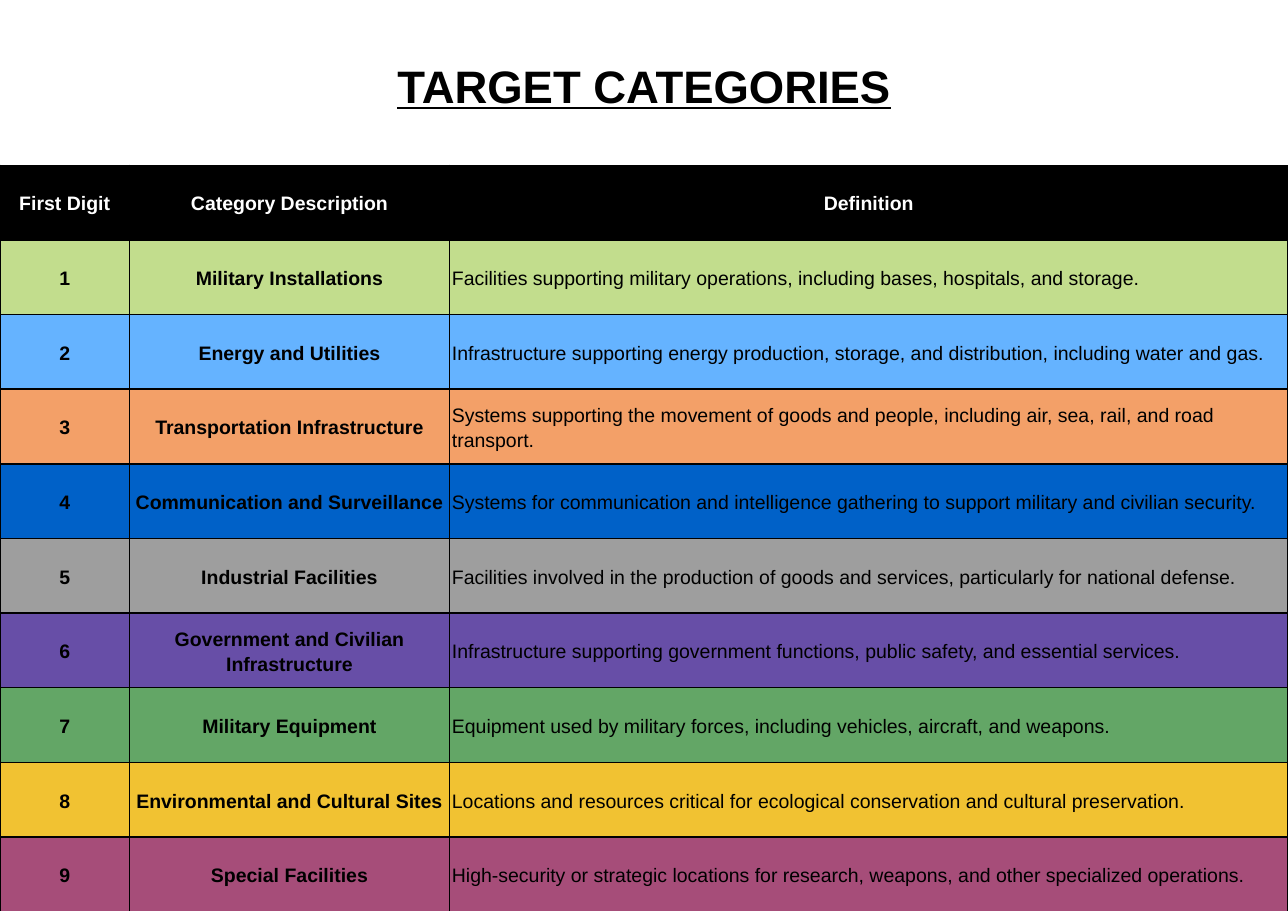
import pptx
import pptx.util
import pptx.dml.color
import pptx.enum.text
import lxml.etree

Inches, Pt = pptx.util.Inches, pptx.util.Pt
ALIGN = pptx.enum.text.PP_ALIGN
MIDDLE = pptx.enum.text.MSO_ANCHOR.MIDDLE
WIDE, HIGH = 16.53, 11.69
WIDTHS = [1.66, 4.11, 10.76]
BLACK, WHITE = "000000", "FFFFFF"
HEADS = ["First Digit", "Category Description", "Definition"]
GROUPS = [
    ("C2DD8D", "Military Installations",
     "Facilities supporting military operations, including bases, hospitals, and storage."),
    ("65B3FF", "Energy and Utilities",
     "Infrastructure supporting energy production, storage, and distribution, including water and gas."),
    ("F3A068", "Transportation Infrastructure",
     "Systems supporting the movement of goods and people, including air, sea, rail, and road transport."),
    ("0061C8", "Communication and Surveillance",
     "Systems for communication and intelligence gathering to support military and civilian security."),
    ("9E9E9E", "Industrial Facilities",
     "Facilities involved in the production of goods and services, particularly for national defense."),
    ("674EA7", "Government and Civilian Infrastructure",
     "Infrastructure supporting government functions, public safety, and essential services."),
    ("63A666", "Military Equipment",
     "Equipment used by military forces, including vehicles, aircraft, and weapons."),
    ("F1C232", "Environmental and Cultural Sites",
     "Locations and resources critical for ecological conservation and cultural preservation."),
    ("A64D79", "Special Facilities",
     "High-security or strategic locations for research, weapons, and other specialized operations."),
]


def color(text):
    """Turn a hex string into a colour."""
    return pptx.dml.color.RGBColor.from_string(text)


def style(para, size, ink, bold, align):
    """Set the font and alignment of a paragraph."""
    para.alignment = align
    font = para.font
    font.name, font.size, font.bold = "Arial", Pt(size), bold
    font.color.rgb = color(ink)


def border(cell, ink, width):
    """Draw a solid line on all four sides of a cell."""
    props = cell._tc.get_or_add_tcPr()
    space = "http://schemas.openxmlformats.org/drawingml/2006/main"
    for side in "LRTB":
        line = lxml.etree.SubElement(props, f"{{{space}}}ln{side}", w=str(Pt(width)))
        fill = lxml.etree.SubElement(line, f"{{{space}}}solidFill")
        lxml.etree.SubElement(fill, f"{{{space}}}srgbClr", val=ink)


def write(cell, text, fill, ink, bold, align):
    """Fill one table cell with text and colour."""
    border(cell, BLACK, 1.5)
    cell.fill.solid()
    cell.fill.fore_color.rgb = color(fill)
    cell.vertical_anchor = MIDDLE
    cell.margin_left = cell.margin_right = Inches(0.03)
    cell.margin_top = cell.margin_bottom = Inches(0.02)
    cell.text = text
    para = cell.text_frame.paragraphs[0]
    para.line_spacing = 1.15
    style(para, 18, ink, bold, align)


def title(slide, left, top, width, height):
    """Place the underlined heading in its box."""
    box = slide.shapes.add_textbox(*map(Inches, (left, top, width, height)))
    frame = box.text_frame
    frame.word_wrap = True
    frame.vertical_anchor = MIDDLE
    frame.margin_left = frame.margin_right = Inches(0.1)
    frame.margin_top = frame.margin_bottom = Inches(0.1)
    para = frame.paragraphs[0]
    para.text = "TARGET CATEGORIES"
    style(para, 42, BLACK, True, ALIGN.CENTER)
    para.font.underline = True


def table(slide, left, top, width, height):
    """Place the table of categories in its box."""
    count = len(GROUPS) + 1
    grid = slide.shapes.add_table(
        count, len(HEADS), *map(Inches, (left, top, width, height))).table
    for col, part in zip(grid.columns, WIDTHS):
        col.width = Inches(width * part / sum(WIDTHS))
    for row in grid.rows:
        row.height = Inches(height / count)
    for col, head in enumerate(HEADS):
        write(grid.cell(0, col), head, BLACK, WHITE, True, ALIGN.CENTER)
    for digit, (fill, name, note) in enumerate(GROUPS, 1):
        for col, text in enumerate((str(digit), name, note)):
            label = col < 2
            write(grid.cell(digit, col), text, fill, BLACK, label,
                  ALIGN.CENTER if label else ALIGN.LEFT)


def main():
    """Build the slide and save it."""
    deck = pptx.Presentation()
    deck.slide_width, deck.slide_height = Inches(WIDE), Inches(HIGH)
    slide = deck.slides.add_slide(deck.slide_layouts[6])
    title(slide, 0, 0.06, WIDE, 2.06)
    table(slide, 0, 2.12, WIDE, 9.58)
    deck.save("out.pptx")


if __name__ == "__main__":
    main()
